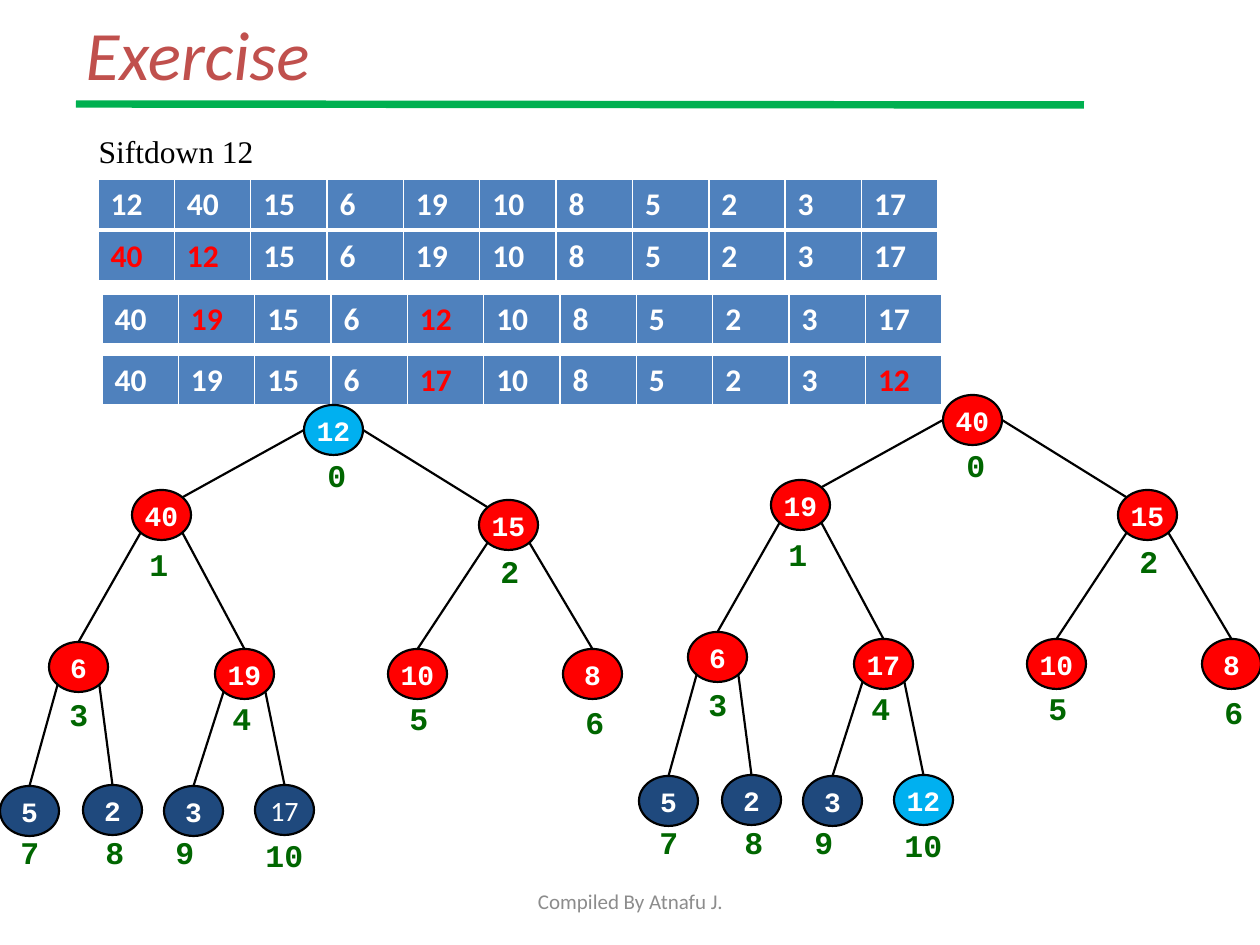
from math import sqrt

from lxml import etree
from pptx import Presentation
from pptx.dml.color import RGBColor
from pptx.enum.shapes import MSO_CONNECTOR, MSO_SHAPE
from pptx.enum.text import MSO_ANCHOR, PP_ALIGN
from pptx.oxml.ns import qn
from pptx.util import Emu, Pt

PX = 9144  # 100 px to the inch at 914400 EMU, rescaled below for 126 px
SCALE = 914400 / 126

COLORS = {
    "title": "C0504D", "rule": "00B050", "text": "000000", "footer": "8C8C8C",
    "cell": "4F81BD", "white": "FFFFFF", "inner": "FF0000", "leaf": "1F497D",
    "moved": "00B0F0", "index": "006600",
}

# Content: (left, top, values, highlighted columns)
ARRAYS = [
    (98, 179, [12, 40, 15, 6, 19, 10, 8, 5, 2, 3, 17], ()),
    (98, 231, [40, 12, 15, 6, 19, 10, 8, 5, 2, 3, 17], (0, 1)),
    (102, 294, [40, 19, 15, 6, 12, 10, 8, 5, 2, 3, 17], (1, 4)),
    (102, 355, [40, 19, 15, 6, 17, 10, 8, 5, 2, 3, 12], (4, 10)),
]
# Trees: offset, values in heap order, index of the sifted node, plain nodes
TREES = [
    ((0, 0), ARRAYS[0][2], 0, (10,)),
    ((639, -10), ARRAYS[3][2], 10, ()),
]
NODES = [(304, 405), (132, 490), (479, 500), (49, 642), (215, 649), (388, 649),
         (563, 649), (0, 786), (83, 785), (164, 786), (255, 785)]
LABELS = [(315, 450), (137, 539), (488, 546), (57, 689), (220, 693), (397, 693),
          (573, 697), (8, 827), (93, 827), (163, 827), (253, 830)]
NODE_W, NODE_H = 59, 50
TABLE_W, ROW_H = 840, 51
FIRST_LEAF = 7


def px(n):
    return Emu(round(n * SCALE))


def box(*lengths):
    return [px(n) for n in lengths]


def rgb(name):
    return RGBColor.from_string(COLORS[name])


def put_text(tf, text, size=18, font="Calibri", color="text", bold=False,
             italic=False, align=PP_ALIGN.LEFT, anchor=MSO_ANCHOR.TOP, wrap=True):
    tf.word_wrap = wrap
    tf.vertical_anchor = anchor
    p = tf.paragraphs[0]
    p.alignment = align
    r = p.add_run()
    r.text = str(text)
    r.font.size, r.font.name = Pt(size), font
    r.font.bold, r.font.italic = bold, italic
    r.font.color.rgb = rgb(color)
    return p


def add_line(s, start, end, color="text", width=1.25):
    line = s.shapes.add_connector(MSO_CONNECTOR.STRAIGHT, *box(*start, *end))
    line.line.color.rgb = rgb(color)
    line.line.width = Pt(width)
    etree.SubElement(line._element.spPr, qn("a:effectLst"))


def place(sp, *lengths):
    sp.left, sp.top, sp.width, sp.height = box(*lengths)


def add_array(s, left, top, values, marked):
    table = s.shapes.add_table(1, len(values), *box(left, top, TABLE_W, ROW_H)).table
    for i, value in enumerate(values):
        table.columns[i].width = px(TABLE_W / len(values))
        cell = table.cell(0, i)
        put_text(cell.text_frame, value, bold=True,
                 color="inner" if i in marked else "white")
        tc_pr = cell._tc.get_or_add_tcPr()
        for side, width in (("L", 1), ("R", 1), ("T", 1), ("B", 3)):
            ln = etree.SubElement(tc_pr, qn(f"a:ln{side}"), w=str(Pt(width)))
            fill = etree.SubElement(ln, qn("a:solidFill"))
            etree.SubElement(fill, qn("a:srgbClr"), val=COLORS["white"])
        cell.fill.solid()
        cell.fill.fore_color.rgb = rgb("cell")


def rim(node, dx, dy):
    """Point on a node's outline in the direction dx, dy (each -1, 0 or 1)."""
    length = sqrt(dx * dx + dy * dy)
    return (node[0] + NODE_W / 2 * (1 + dx / length),
            node[1] + NODE_H / 2 * (1 + dy / length))


def add_tree(s, offset, values, moved, plain):
    def shift(points):
        return [(x + offset[0], y + offset[1]) for x, y in points]

    nodes = shift(NODES)
    # Edges: the root joins by its sides, the other nodes from below
    for child in range(1, len(nodes)):
        parent = (child - 1) // 2
        side = -1 if child % 2 else 1
        if parent == 0:
            ends = rim(nodes[0], side, 0), rim(nodes[child], -side, -1)
        else:
            ends = rim(nodes[parent], side, 1), rim(nodes[child], 0, -1)
        add_line(s, *ends)
    # Nodes
    for i, (node, value) in enumerate(zip(nodes, values)):
        sp = s.shapes.add_shape(MSO_SHAPE.OVAL, *box(*node, NODE_W, NODE_H))
        sp.shadow.inherit = False
        sp.fill.solid()
        kind = "moved" if i == moved else "leaf" if i >= FIRST_LEAF else "inner"
        sp.fill.fore_color.rgb = rgb(kind)
        sp.line.color.rgb = rgb("text")
        sp.line.width = Pt(1.25)
        put_text(sp.text_frame, value, size=16, color="white", bold=i not in plain,
                 font="Calibri" if i in plain else "Courier New", wrap=False,
                 align=PP_ALIGN.CENTER, anchor=MSO_ANCHOR.MIDDLE)
    # Array indexes
    for i, label in enumerate(shift(LABELS)):
        width = 42 if i < 9 else 68
        sp = s.shapes.add_textbox(*box(*label, width, 50))
        put_text(sp.text_frame, i, font="Courier New", color="index", bold=True)


def main():
    prs = Presentation()
    prs.slide_width, prs.slide_height = box(1260, 945)
    s = prs.slides.add_slide(prs.slide_layouts[1])

    # Title, body and rule
    title, body = s.placeholders
    place(title, 73, 21, 1134, 63)
    put_text(title.text_frame, "Exercise", size=39.6, color="title", italic=True,
             anchor=MSO_ANCHOR.MIDDLE)
    place(body, 86, 126, 1071, 756)
    p = put_text(body.text_frame, "Siftdown 12", font="Times New Roman")
    p_pr = p._p.get_or_add_pPr()
    p_pr.set("marL", str(px(48)))
    p_pr.set("indent", str(-px(48)))
    etree.SubElement(p_pr, qn("a:buNone"))
    add_line(s, (76, 104), (1084, 105), color="rule", width=4.25)

    # Footer
    footer = s.shapes.add_textbox(*box(431, 876, 399, 50))
    put_text(footer.text_frame, "Compiled By Atnafu J.", size=12, color="footer",
             align=PP_ALIGN.CENTER, anchor=MSO_ANCHOR.MIDDLE)

    # Array states and heaps
    for array in ARRAYS:
        add_array(s, *array)
    for tree in TREES:
        add_tree(s, *tree)

    prs.save("out.pptx")


if __name__ == "__main__":
    main()
